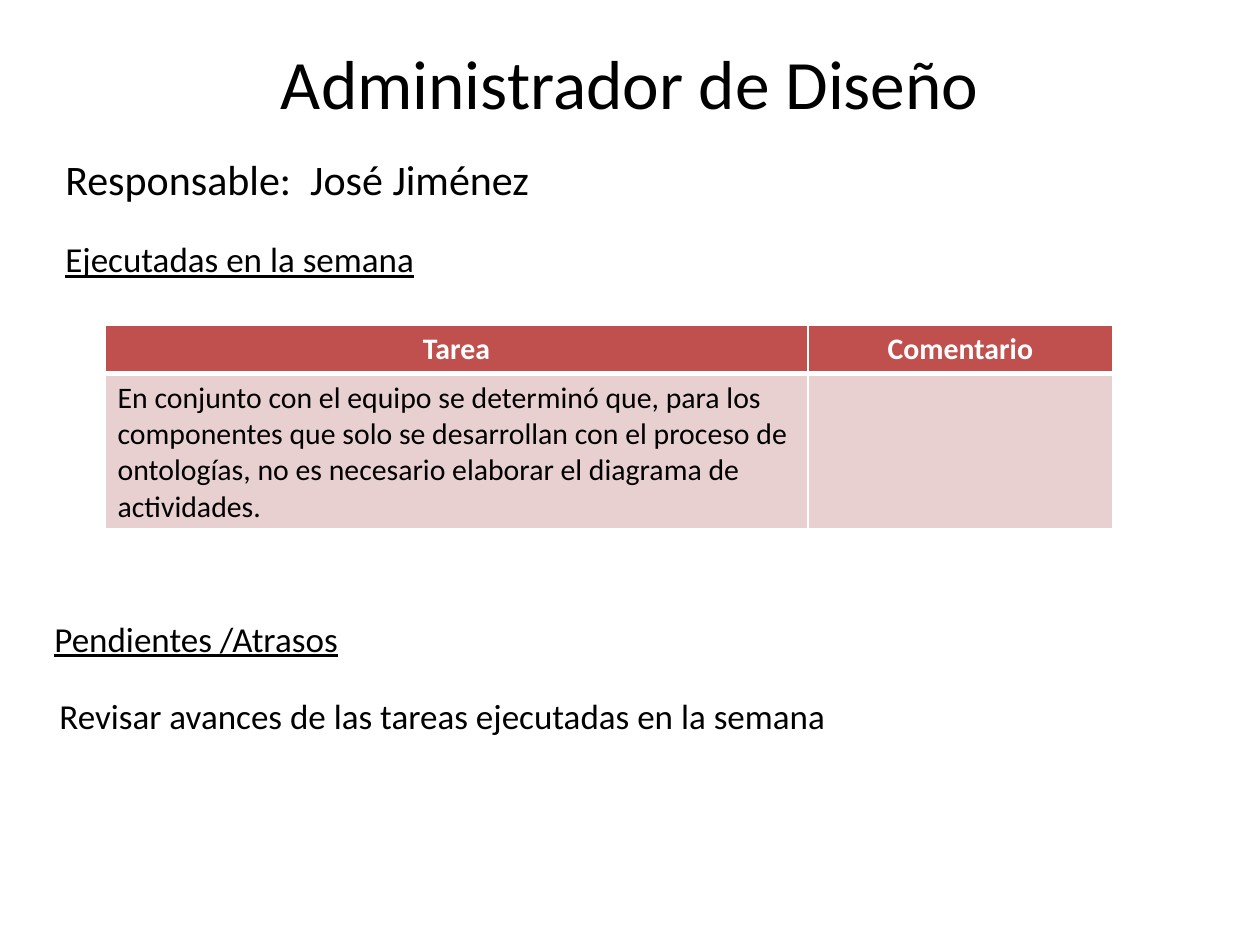
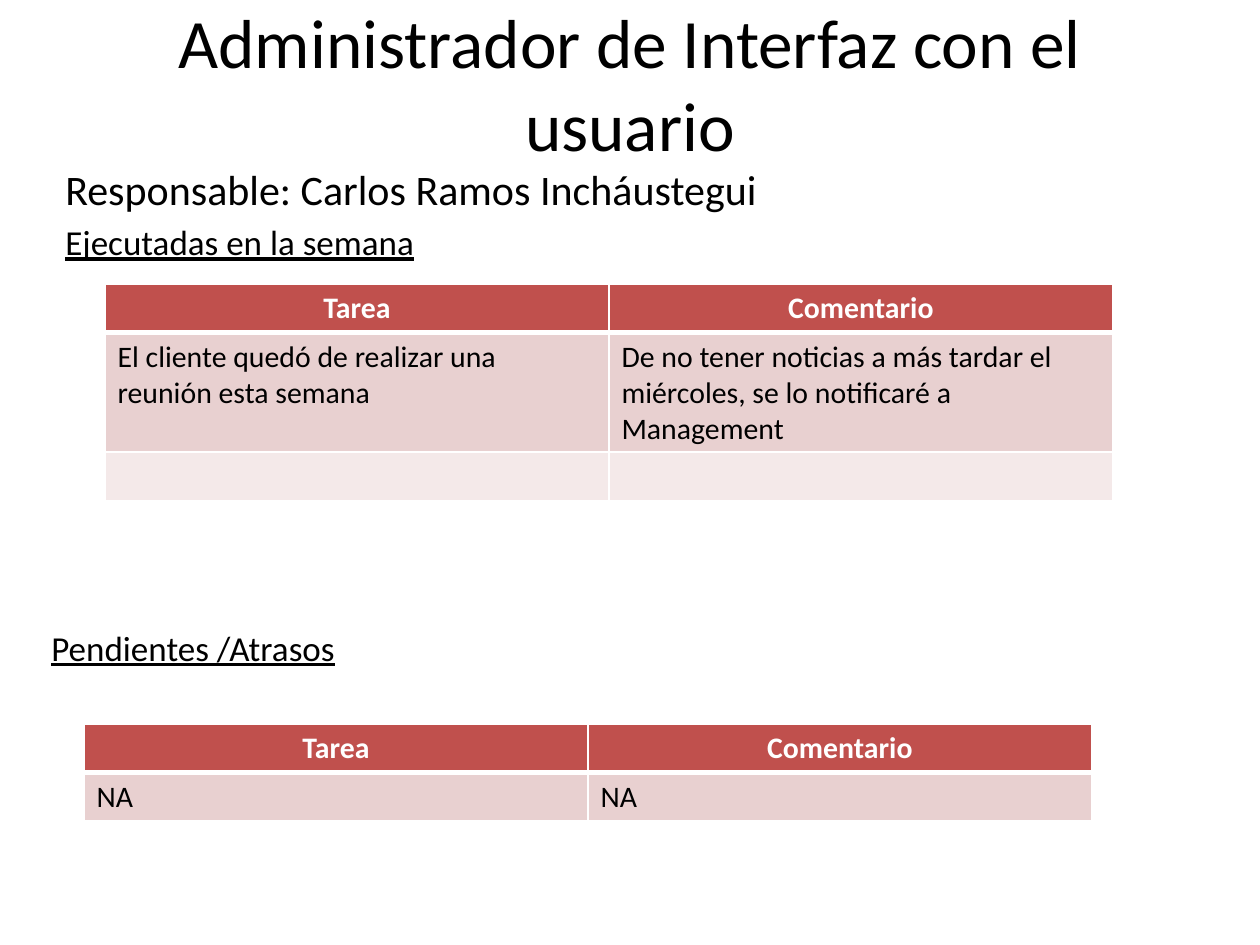
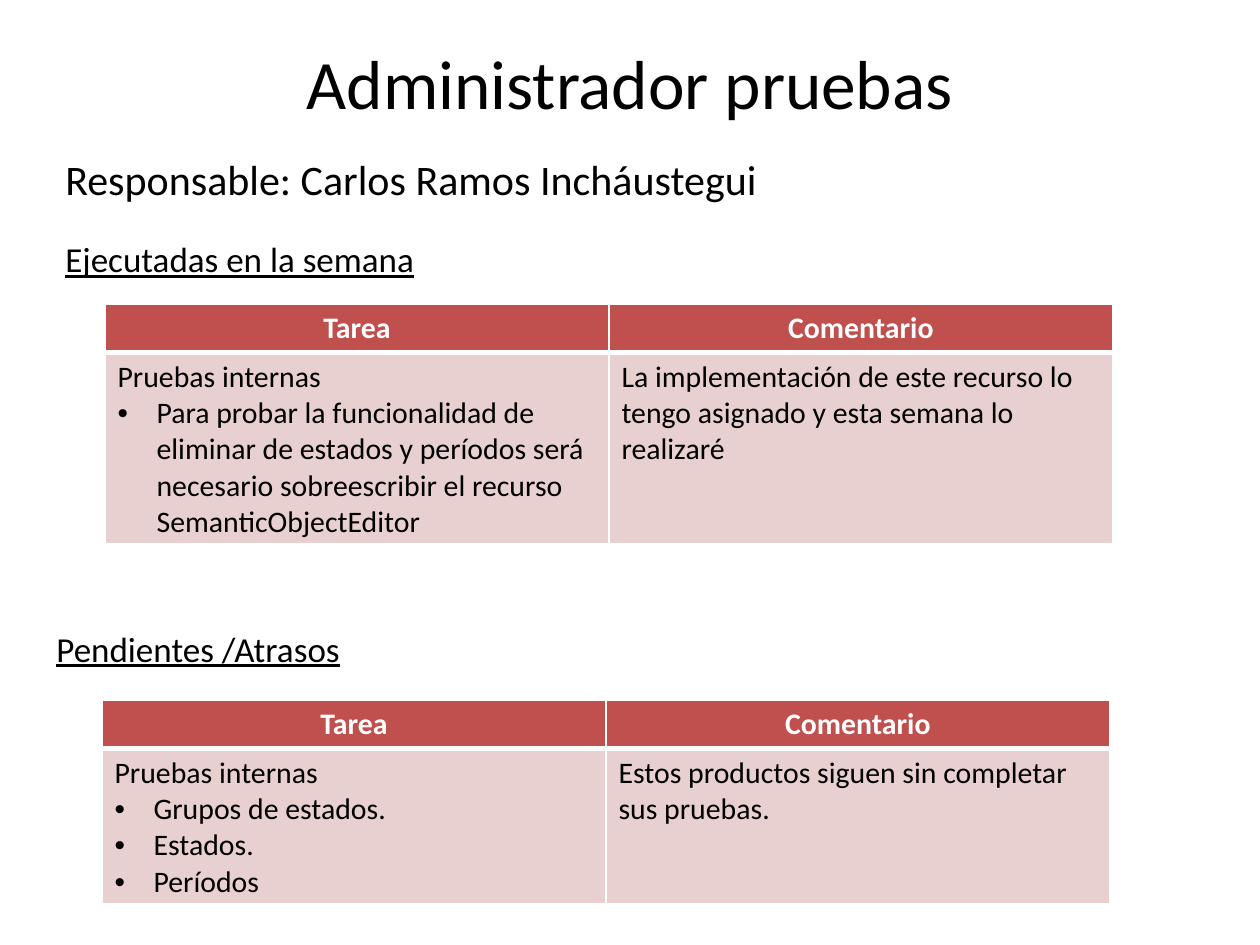
import pptx
import pptx.util
import pptx.dml.color
import pptx.enum.text
import pptx.oxml.ns
import lxml.etree

PIXEL = 914400 // 126
FONT = "Calibri"
BLACK = pptx.dml.color.RGBColor(0x00, 0x00, 0x00)
WHITE = pptx.dml.color.RGBColor(0xFF, 0xFF, 0xFF)
HEADER_RED = pptx.dml.color.RGBColor(0xC0, 0x50, 0x4D)
BAND_COLORS = [pptx.dml.color.RGBColor(0xE8, 0xD0, 0xD0),
               pptx.dml.color.RGBColor(0xF4, 0xE9, 0xE9)]

TITLE_SIZE, OWNER_SIZE, HEADING_SIZE, TABLE_SIZE = 39.6, 24, 20, 17
SPACE_SHARE = 0.2       # space before a paragraph, as a share of its size
ROOMY_GAP = 19.5        # points before the heading on the roomier slides
TITLE_BOX = (63, 38, 1134, 88)
TEXT_WIDTH, LINE_HEIGHT, ROW_HEIGHT = 1176, 73, 47
INDENT, BULLET_INDENT = 48, 39
EVEN = (504, 504)
HEADINGS = ("Tarea", "Comentario")
BULLET = "•"

# Text lines are (left, top, text, underlined).
# Tables are (left, top, column widths, body rows); a cell is a list of paragraphs.
SLIDES = [
    {
        "title": "Administrador de Diseño",
        "owner": "Responsable:  José Jiménez",
        "owner_box": (147, 158), "heading_gap": ROOMY_GAP,
        "lines": [(42, 611, "Pendientes /Atrasos", True),
                  (47, 688, "Revisar avances de las tareas ejecutadas en la semana", False)],
        "tables": [(105, 325, (703, 305), [
            (["En conjunto con el equipo se determinó que, para los componentes que solo "
              "se desarrollan con el proceso de ontologías, no es necesario elaborar el "
              "diagrama de actividades."], [""])])],
    },
    {
        "title": "Administrador de Interfaz con el usuario",
        "owner": "Responsable: Carlos Ramos Incháustegui",
        "owner_box": (157, 116), "heading_gap": HEADING_SIZE * SPACE_SHARE,
        "lines": [(39, 620, "Pendientes /Atrasos", True)],
        "tables": [
            (105, 284, EVEN, [
                (["El cliente quedó de realizar una reunión esta semana"],
                 ["De no tener noticias a más tardar el miércoles, se lo notificaré a "
                  "Management"]),
                ([""], [""])]),
            (84, 724, EVEN, [(["NA"], ["NA"])])],
    },
    {
        "title": "Administrador pruebas",
        "owner": "Responsable: Carlos Ramos Incháustegui",
        "owner_box": (147, 158), "heading_gap": ROOMY_GAP,
        "lines": [(44, 621, "Pendientes /Atrasos", True)],
        "tables": [
            (105, 304, EVEN, [
                (["Pruebas internas",
                  BULLET + "Para probar la funcionalidad de eliminar de estados y períodos "
                  "será necesario sobreescribir el recurso SemanticObjectEditor"],
                 ["La implementación de este recurso lo tengo asignado y esta semana lo "
                  "realizaré"])]),
            (102, 700, EVEN, [
                (["Pruebas internas", BULLET + "Grupos de estados.", BULLET + "Estados.",
                  BULLET + "Períodos"],
                 ["Estos productos siguen sin completar sus pruebas."])])],
    },
]


def add_child(parent, tag, **attributes):
    """Append a drawing element with attributes to an XML parent."""
    child = lxml.etree.SubElement(parent, pptx.oxml.ns.qn(tag))
    for name, value in attributes.items():
        child.set(name, str(value))
    return child


def set_indent(para, pixels):
    """Give a paragraph a hanging indent."""
    properties = para._p.get_or_add_pPr()
    properties.set("marL", str(pixels * PIXEL))
    properties.set("indent", str(-pixels * PIXEL))
    return properties


def format_runs(para, size, color=BLACK, bold=False, underline=False):
    """Set the font of every run in a paragraph."""
    for span in para.runs:
        font = span.font
        font.name, font.size, font.bold = FONT, pptx.util.Pt(size), bold
        font.color.rgb = color
        if underline:
            font.underline = True


def add_box(page, left, top, width, height):
    """Add a wrapping text box and return its text frame."""
    place = [length * PIXEL for length in (left, top, width, height)]
    frame = page.shapes.add_textbox(*place).text_frame
    frame.word_wrap = True
    return frame


def write_line(para, text, size, gap=None, underline=False):
    """Write one hanging line of body text."""
    para.text = text
    para.space_before = pptx.util.Pt(size * SPACE_SHARE if gap is None else gap)
    set_indent(para, INDENT)
    format_runs(para, size, underline=underline)


def add_title(page, text):
    """Add the centred slide title."""
    frame = add_box(page, *TITLE_BOX)
    frame.vertical_anchor = pptx.enum.text.MSO_ANCHOR.MIDDLE
    para = frame.paragraphs[0]
    para.text = text
    para.alignment = pptx.enum.text.PP_ALIGN.CENTER
    format_runs(para, TITLE_SIZE)


def set_borders(cell, row):
    """Draw white cell borders, thick between the header and the body."""
    properties = cell._tc.get_or_add_tcPr()
    widths = {"a:lnL": 1, "a:lnR": 1,
              "a:lnT": 3 if row == 1 else 1, "a:lnB": 3 if row == 0 else 1}
    for tag, width in widths.items():
        line = add_child(properties, tag, w=pptx.util.Pt(width))
        add_child(add_child(line, "a:solidFill"), "a:srgbClr", val=WHITE)


def fill_cell(cell, row, texts):
    """Write and style one table cell."""
    is_header = row == 0
    set_borders(cell, row)
    cell.fill.solid()
    cell.fill.fore_color.rgb = HEADER_RED if is_header else BAND_COLORS[(row - 1) % 2]
    cell.text_frame.text = "\n".join(text.removeprefix(BULLET) for text in texts)
    for para, text in zip(cell.text_frame.paragraphs, texts):
        if is_header:
            para.alignment = pptx.enum.text.PP_ALIGN.CENTER
        if text.startswith(BULLET):
            properties = set_indent(para, BULLET_INDENT)
            add_child(properties, "a:buFont", typeface="Arial")
            add_child(properties, "a:buChar", char=BULLET)
        format_runs(para, TABLE_SIZE, WHITE if is_header else BLACK, is_header)
        if not text:
            add_child(para._p, "a:endParaRPr", sz=TABLE_SIZE * 100)


def add_task_table(page, left, top, widths, body):
    """Add a table of tasks and comments under the shared header."""
    rows = [[[heading] for heading in HEADINGS]] + body
    place = (left, top, sum(widths), ROW_HEIGHT * len(rows))
    table = page.shapes.add_table(len(rows), len(widths),
                                  *[length * PIXEL for length in place]).table
    for column, width in zip(table.columns, widths):
        column.width = width * PIXEL
    for row, cells in enumerate(rows):
        for column, texts in enumerate(cells):
            fill_cell(table.cell(row, column), row, texts)


def add_report(deck, content):
    """Build one weekly report slide."""
    page = deck.slides.add_slide(deck.slide_layouts[6])
    add_title(page, content["title"])
    top, height = content["owner_box"]
    frame = add_box(page, 53, top, TEXT_WIDTH, height)
    write_line(frame.paragraphs[0], content["owner"], OWNER_SIZE)
    write_line(frame.add_paragraph(), "Ejecutadas en la semana", HEADING_SIZE,
               content["heading_gap"], underline=True)
    for left, top, text, underline in content["lines"]:
        frame = add_box(page, left, top, TEXT_WIDTH, LINE_HEIGHT)
        write_line(frame.paragraphs[0], text, HEADING_SIZE, underline=underline)
    for table in content["tables"]:
        add_task_table(page, *table)


deck = pptx.Presentation()
deck.slide_width = pptx.util.Inches(10)
deck.slide_height = pptx.util.Inches(7.5)
for content in SLIDES:
    add_report(deck, content)
deck.save("out.pptx")
